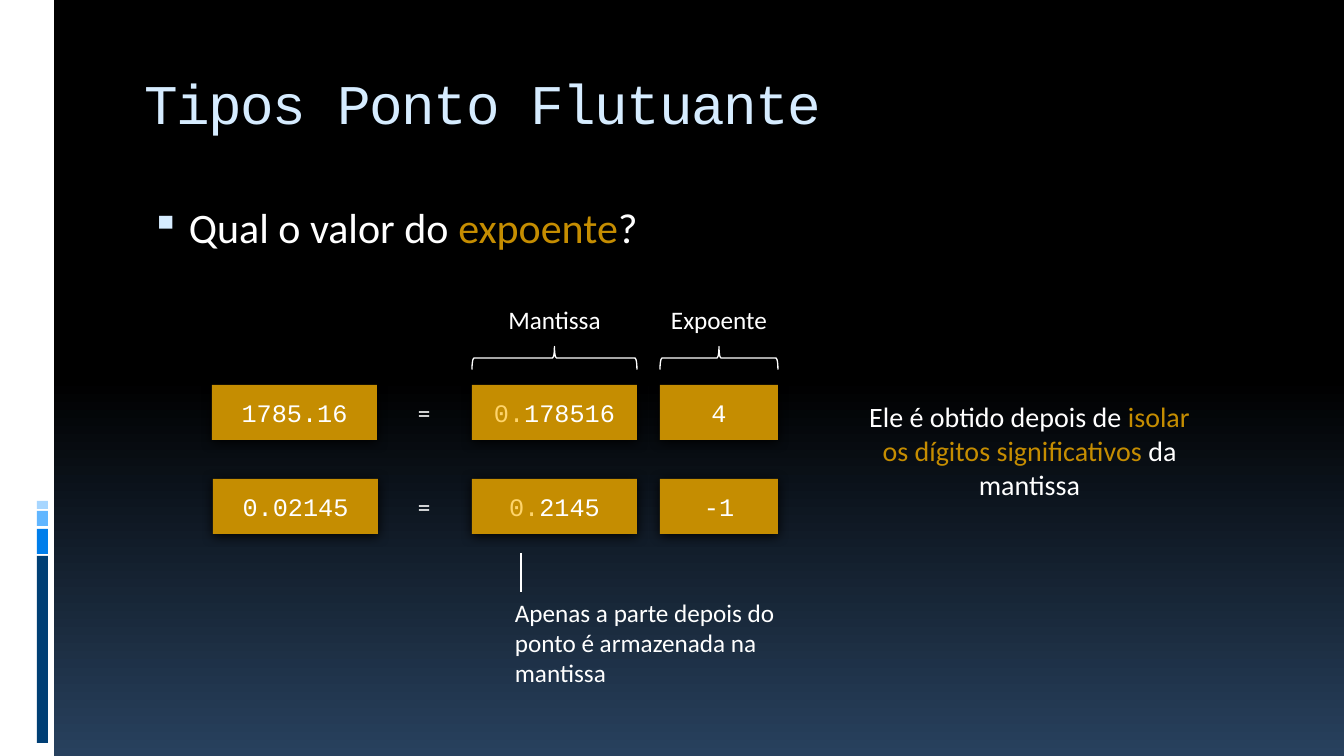
from lxml import etree
from pptx import Presentation
from pptx.dml.color import RGBColor
from pptx.enum.shapes import MSO_CONNECTOR, MSO_SHAPE
from pptx.enum.text import MSO_ANCHOR, PP_ALIGN
from pptx.oxml import parse_xml
from pptx.oxml.ns import nsdecls, qn
from pptx.util import Pt

RECT, BRACE = MSO_SHAPE.RECTANGLE, MSO_SHAPE.RIGHT_BRACE
STRAIGHT = MSO_CONNECTOR.STRAIGHT
MIDDLE = MSO_ANCHOR.MIDDLE
LEFT, CENTER = PP_ALIGN.LEFT, PP_ALIGN.CENTER

SANS, MONO = "Calibri", "Courier New"
WHITE, GOLD, PALE_GOLD, ICE = "FFFFFF", "C58D01", "FED46C", "D6ECFF"

TITLE = [("Tipos Ponto Flutuante", ICE)]
QUESTION = [("Qual o valor do ", WHITE), ("expoente", GOLD), ("?", WHITE)]
EXPLANATION = [("Ele é obtido depois de ", WHITE),
               ("isolar os dígitos significativos", GOLD),
               (" da mantissa", WHITE)]
NOTE = [("Apenas a parte depois do ponto é armazenada na mantissa", WHITE)]
STRIPES = [(0, 0, 54, 756, WHITE), (37, 556, 11, 187, "003F75"),
           (37, 529, 11, 25, "007EEB"), (37, 511, 11, 15, "61B6FF"),
           (37, 501, 11, 8, "A7D6FF")]
COLUMNS = [("Mantissa", 472, 165), ("Expoente", 660, 118)]
ROWS = [(385, 212, "1785.16", "178516", "4"),
        (479, 213, "0.02145", "2145", "-1")]
VALUE_W, BOX_H = 165, 55
EQUALS_CENTER = 424
LABEL_Y, LABEL_W, LABEL_H = 299, 120, 40
BRACE_CENTER, BRACE_DEPTH = 358, 23

SCALE = 914400 / 100.8


def px(n):
    return round(n * SCALE)


def rgb(color):
    return RGBColor.from_string(color)


def write(sp, runs, size, font=SANS, align=LEFT):
    tf = sp.text_frame
    tf.word_wrap = True
    p = tf.paragraphs[0]
    p.alignment = align
    for text, color in runs:
        r = p.add_run()
        r.text = text
        r.font.size = Pt(size)
        r.font.name = font
        r.font.color.rgb = rgb(color)
    return p


def add_text(x, y, w, h, runs, size, align=LEFT):
    sp = s.shapes.add_textbox(px(x), px(y), px(w), px(h))
    return write(sp, runs, size, align=align)


def add_rect(x, y, w, h, color):
    sp = s.shapes.add_shape(RECT, px(x), px(y), px(w), px(h))
    sp.shadow.inherit = False
    sp.fill.solid()
    sp.fill.fore_color.rgb = rgb(color)
    sp.line.fill.background()
    return sp


def add_box(x, y, w, runs):
    sp = add_rect(x, y, w, BOX_H, GOLD)
    shadow = etree.SubElement(sp._element.spPr.find(qn("a:effectLst")), qn("a:outerShdw"),
                              blurRad=str(Pt(8.5)), dist=str(Pt(1)),
                              dir="5400000", rotWithShape="0")
    etree.SubElement(shadow, qn("a:srgbClr"), val="000000")
    sp.text_frame.vertical_anchor = MIDDLE
    write(sp, runs, 18, MONO, CENTER)


def add_brace(x, w):
    sp = s.shapes.add_shape(BRACE, px(x + (w - BRACE_DEPTH) / 2),
                            px(BRACE_CENTER - w / 2), px(BRACE_DEPTH), px(w))
    sp.rotation = 270
    sp.shadow.inherit = False
    sp.fill.background()
    sp.line.color.rgb = rgb(WHITE)
    sp.line.width = Pt(0.94)


prs = Presentation()
prs.slide_width, prs.slide_height = px(1344), px(756)
s = prs.slides.add_slide(prs.slide_layouts[5])

fill = s.background.fill
fill.gradient()
fill.gradient_angle = 270
for stop, position, color in zip(fill.gradient_stops, (0.5, 1), ("000000", "28415E")):
    stop.position = position
    stop.color.rgb = rgb(color)

for x, y, w, h, color in STRIPES:
    add_rect(x, y, w, h, color)

title = s.shapes.title
title.left, title.top, title.width, title.height = px(134), px(56), px(1142), px(101)
title.text_frame.vertical_anchor = MIDDLE
p = write(title, TITLE, 40, MONO)
p.line_spacing = 0.9
p.runs[0].font._element.set("spc", "-100")

p = add_text(134, 197, 1142, 504, QUESTION, 30)
pPr = p._p.get_or_add_pPr()
pPr.set("marL", str(px(45)))
pPr.set("indent", str(px(-38)))
for bullet in (f'<a:buClr {nsdecls("a")}><a:srgbClr val="{ICE}"/></a:buClr>',
               f'<a:buSzPct {nsdecls("a")} val="95000"/>',
               f'<a:buChar {nsdecls("a")} char="▪"/>'):
    pPr.append(parse_xml(bullet))

add_text(849, 395, 361, 112, EXPLANATION, 20, CENTER)
add_text(505, 592, 305, 102, NOTE, 18)

for label, x, w in COLUMNS:
    add_text(x + (w - LABEL_W) / 2, LABEL_Y, LABEL_W, LABEL_H, [(label, WHITE)], 18, CENTER)
    add_brace(x, w)

(_, mantissa_x, mantissa_w), (_, exponent_x, exponent_w) = COLUMNS
for y, x, value, digits, exponent in ROWS:
    add_box(x, y, VALUE_W, [(value, WHITE)])
    add_text(EQUALS_CENTER - 17, y + 7, 34, LABEL_H, [("=", WHITE)], 18, CENTER)
    add_box(mantissa_x, y, mantissa_w, [("0.", PALE_GOLD), (digits, WHITE)])
    add_box(exponent_x, y, exponent_w, [(exponent, WHITE)])

pointer = s.shapes.add_connector(STRAIGHT, px(521), px(553), px(521), px(592))
pointer.line.color.rgb = rgb(WHITE)
pointer.line.width = Pt(0.94)
etree.SubElement(pointer._element.spPr, qn("a:effectLst"))

prs.save("out.pptx")
